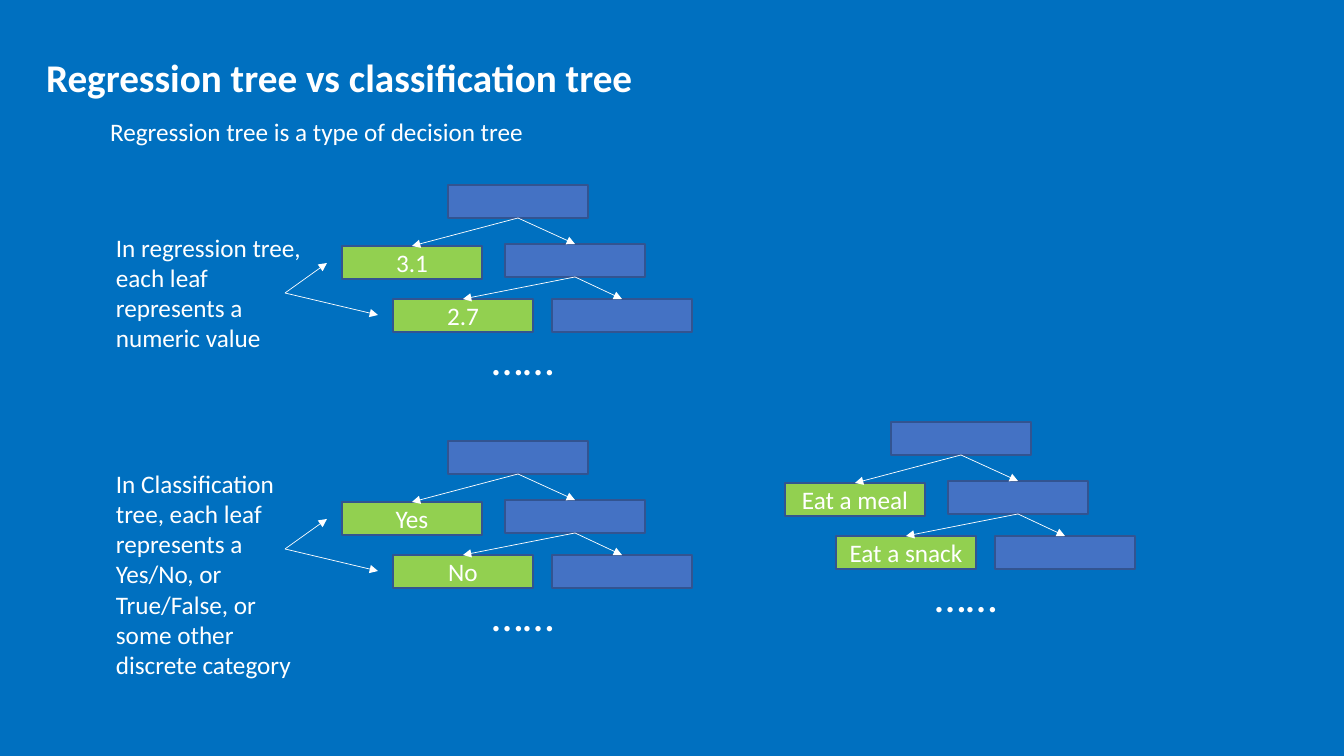
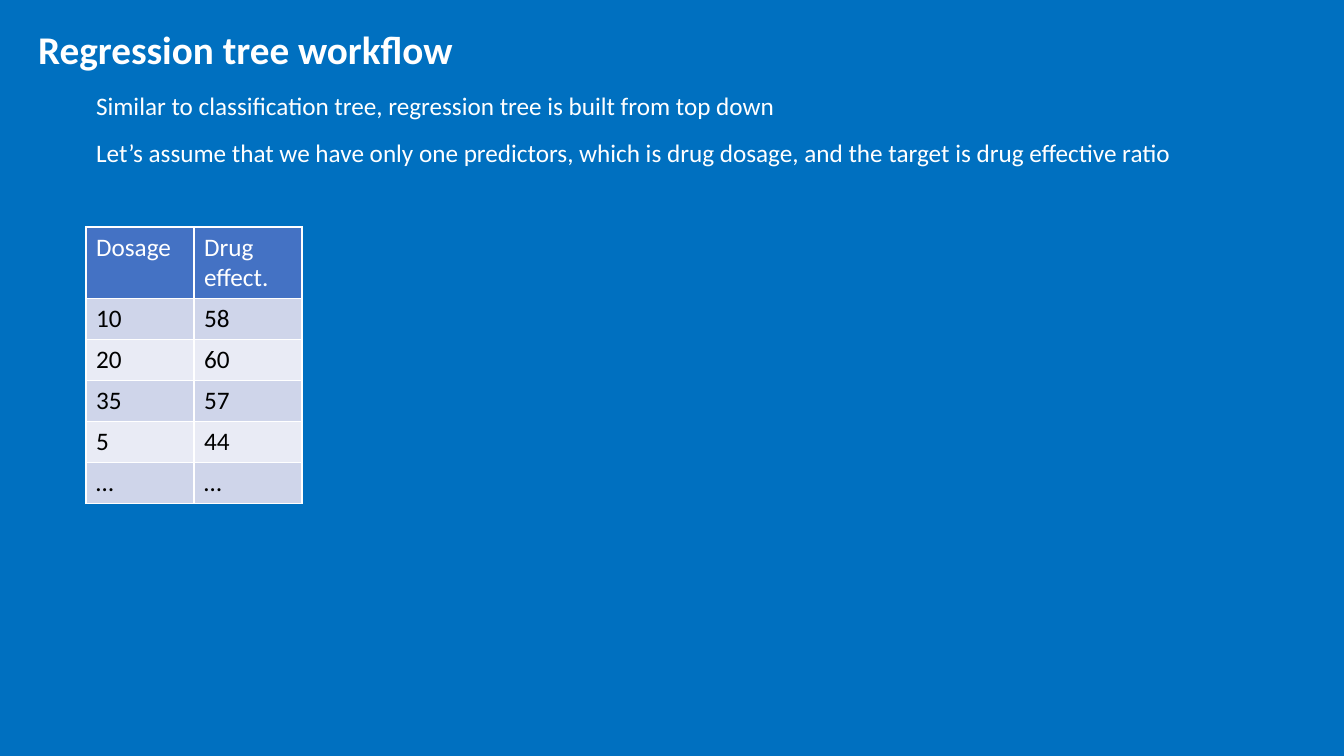
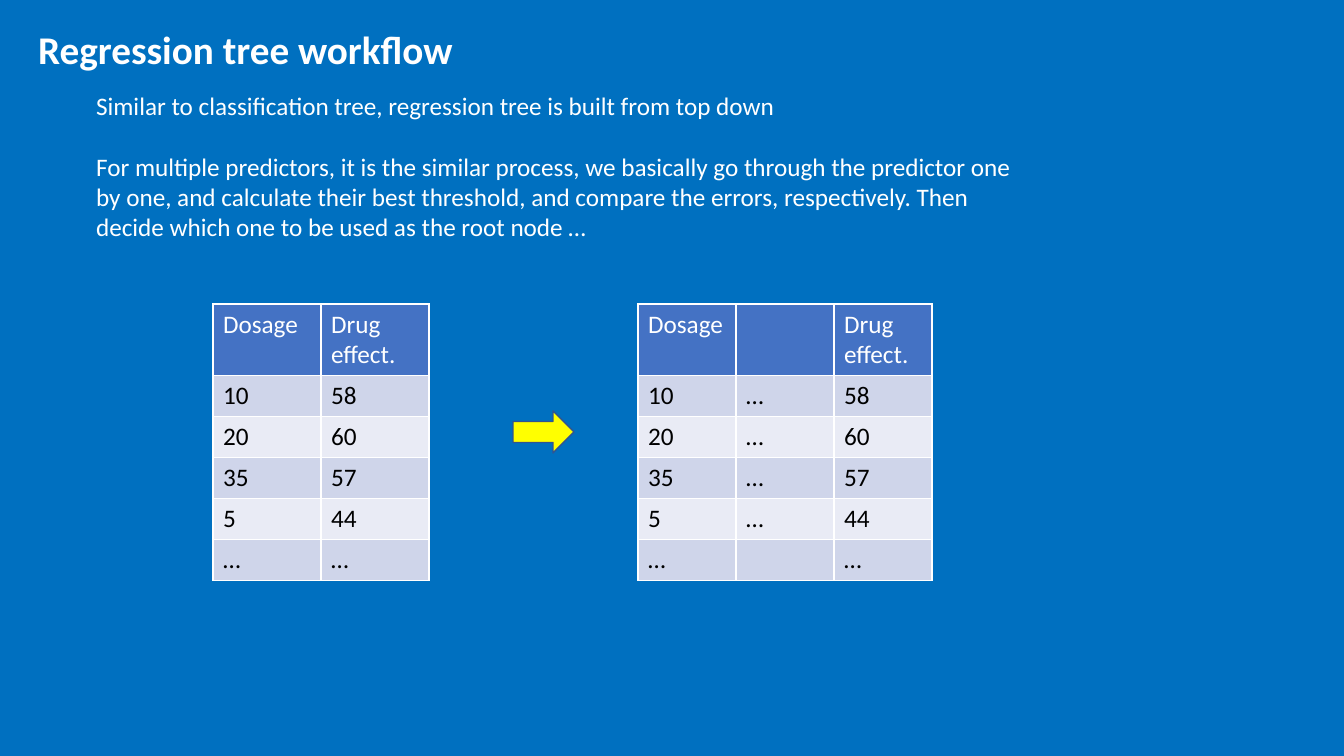
"""Build three slides on regression trees and their workflow."""
from lxml import etree
from pptx import Presentation
from pptx.dml.color import RGBColor
from pptx.enum.shapes import MSO_CONNECTOR, MSO_SHAPE
from pptx.enum.text import MSO_ANCHOR, MSO_AUTO_SIZE, PP_ALIGN
from pptx.oxml.ns import qn
from pptx.util import Emu, Pt

EMU_PER_PX = 914400 / 100.8
FONT = "Calibri"
BLUE = RGBColor(0x00, 0x70, 0xC0)
WHITE = RGBColor(0xFF, 0xFF, 0xFF)
BLACK = RGBColor(0x00, 0x00, 0x00)
NODE = RGBColor(0x44, 0x72, 0xC4)
OUTLINE = RGBColor(0x32, 0x54, 0x91)
LEAF = RGBColor(0x92, 0xD0, 0x50)
YELLOW = RGBColor(0xFF, 0xFF, 0x00)
BANDS = [RGBColor(0xE9, 0xEB, 0xF5), RGBColor(0xCF, 0xD5, 0xEA)]
STRAIGHT = MSO_CONNECTOR.STRAIGHT
RECTANGLE, RIGHT_ARROW = MSO_SHAPE.RECTANGLE, MSO_SHAPE.RIGHT_ARROW
TOP, MIDDLE = MSO_ANCHOR.TOP, MSO_ANCHOR.MIDDLE
LEFT, CENTER = PP_ALIGN.LEFT, PP_ALIGN.CENTER
NO_AUTOFIT = MSO_AUTO_SIZE.NONE
TOP_SITE, BOTTOM_SITE = 0, 2


def px(*lengths):
    return [Emu(round(length * EMU_PER_PX)) for length in lengths]


def style(frame, size=18, color=WHITE, bold=False, align=LEFT):
    for paragraph in frame.paragraphs:
        paragraph.alignment = align
        for run in paragraph.runs:
            run.font.name, run.font.size, run.font.bold = FONT, Pt(size), bold
            run.font.color.rgb = color


prs = Presentation()
prs.slide_width, prs.slide_height = px(1344, 756)
background = prs.slide_master.background.fill
background.solid()
background.fore_color.rgb = BLUE

SIMILAR = "Similar to classification tree, regression tree is built from top down"
HEADINGS = [
    ("Regression tree vs classification tree", (36, 48, 611, 58), (100, 111, 438, 40), 0,
     ["Regression tree is a type of decision tree"]),
    ("Regression tree workflow", (28, 20, 440, 58), (86, 85, 1109, 88), 12,
     [SIMILAR, "Let’s assume that we have only one predictors, which is drug dosage, "
      "and the target is drug effective ratio"]),
    ("Regression tree workflow", (28, 20, 440, 58), (86, 85, 951, 163), 22,
     [SIMILAR, "For multiple predictors, it is the similar process, we basically go through "
      "the predictor one by one, and calculate their best threshold, and compare the errors, "
      "respectively. Then decide which one to be used as the root node …"]),
]
slides = []
for heading, heading_box, body_box, gap, lines in HEADINGS:
    slide = prs.slides.add_slide(prs.slide_layouts[1])
    slides.append(slide)
    title, body = slide.placeholders
    for placeholder, box in ((title, heading_box), (body, body_box)):
        placeholder.left, placeholder.top, placeholder.width, placeholder.height = px(*box)
        placeholder.text_frame.auto_size = NO_AUTOFIT
        placeholder.text_frame.vertical_anchor = TOP
        placeholder.text_frame.word_wrap = True
    title.text_frame.text = heading
    style(title.text_frame, 28, bold=True)
    body.text_frame.text = "\n".join(lines)
    style(body.text_frame)
    for index, paragraph in enumerate(body.text_frame.paragraphs):
        paragraph.space_before = Pt(gap if index else 0)
        properties = paragraph._p.get_or_add_pPr()
        properties.set("marL", "0")
        properties.set("indent", "0")
        etree.SubElement(properties, qn("a:buNone"))

comparison, workflow, multiple = slides

TREES = [(448, 185, "3.1", "2.7"), (448, 441, "Yes", "No"),
         (891, 422, "Eat a meal", "Eat a snack")]
NOTES = [
    (227, 132, "In regression tree, each leaf represents a numeric value"),
    (463, 224, "In Classification tree, each leaf represents a Yes/No, or True/False, "
               "or some other discrete category"),
]
pointers = []
for root_x, root_y, first_leaf, second_leaf in TREES:
    nodes = []
    for dx, dy, color, label in [
        (0, 0, NODE, ""), (-106, 61, LEAF, first_leaf), (57, 59, NODE, ""),
        (-55, 114, LEAF, second_leaf), (104, 114, NODE, ""),
    ]:
        node = comparison.shapes.add_shape(
            RECTANGLE, *px(root_x + dx, root_y + dy, 140, 33))
        node.shadow.inherit = False
        node.fill.solid()
        node.fill.fore_color.rgb = color
        node.line.color.rgb = OUTLINE
        node.line.width = Pt(1)
        if label:
            node.text_frame.text = label
            node.text_frame.vertical_anchor = MIDDLE
            style(node.text_frame, align=CENTER)
        nodes.append(node)
    for parent, child in ((0, 1), (0, 2), (2, 3), (2, 4)):
        branch = comparison.shapes.add_connector(STRAIGHT, 0, 0, 0, 0)
        branch.begin_connect(nodes[parent], BOTTOM_SITE)
        branch.end_connect(nodes[child], TOP_SITE)
        pointers.append(branch)
    dots = comparison.shapes.add_textbox(*px(root_x + 34, root_y + 141, 83, 65))
    dots.text_frame.text = "……"
    style(dots.text_frame, 32)

for (root_x, root_y, *_), (top, height, text) in zip(TREES, NOTES):
    note = comparison.shapes.add_textbox(*px(106, top, 215, height))
    note.text_frame.word_wrap = True
    note.text_frame.text = text
    style(note.text_frame)
    for dx, dy in ((-121, 78), (-70, 130)):
        pointers.append(comparison.shapes.add_connector(
            STRAIGHT, *px(root_x - 163, root_y + 108, root_x + dx, root_y + dy)))

for pointer in pointers:
    pointer.line.color.rgb = WHITE
    pointer.line.width = Pt(0.5)
    etree.SubElement(pointer.line._get_or_add_ln(), qn("a:tailEnd"), type="triangle")
    etree.SubElement(pointer._element.spPr, qn("a:effectLst"))

DOSAGES = [("Dosage", "Drug effect."), ("10", "58"), ("20", "60"),
           ("35", "57"), ("5", "44"), ("…", "…")]
OTHERS = ["", "…", "…", "…", "…", ""]
WIDER = [(dose, other, effect) for (dose, effect), other in zip(DOSAGES, OTHERS)]
HEADER_HEIGHT, ROW_HEIGHT = 71, 41
for slide, left, top, column_width, records in [
    (workflow, 86, 227, 108, DOSAGES),
    (multiple, 213, 304, 108, DOSAGES),
    (multiple, 638, 304, 98, WIDER),
]:
    columns = len(records[0])
    height = HEADER_HEIGHT + ROW_HEIGHT * (len(records) - 1)
    table = slide.shapes.add_table(
        len(records), columns, *px(left, top, column_width * columns, height)).table
    for r, record in enumerate(records):
        table.rows[r].height = px(ROW_HEIGHT if r else HEADER_HEIGHT)[0]
        for c, value in enumerate(record):
            cell = table.cell(r, c)
            cell.fill.solid()
            cell.fill.fore_color.rgb = BANDS[r % 2] if r else NODE
            cell.text_frame.text = value
            style(cell.text_frame, color=BLACK if r else WHITE)

arrow = multiple.shapes.add_shape(RIGHT_ARROW, *px(513, 411, 61, 42))
arrow.shadow.inherit = False
arrow.fill.solid()
arrow.fill.fore_color.rgb = YELLOW
arrow.line.color.rgb = OUTLINE
arrow.line.width = Pt(1)

prs.save("out.pptx")
